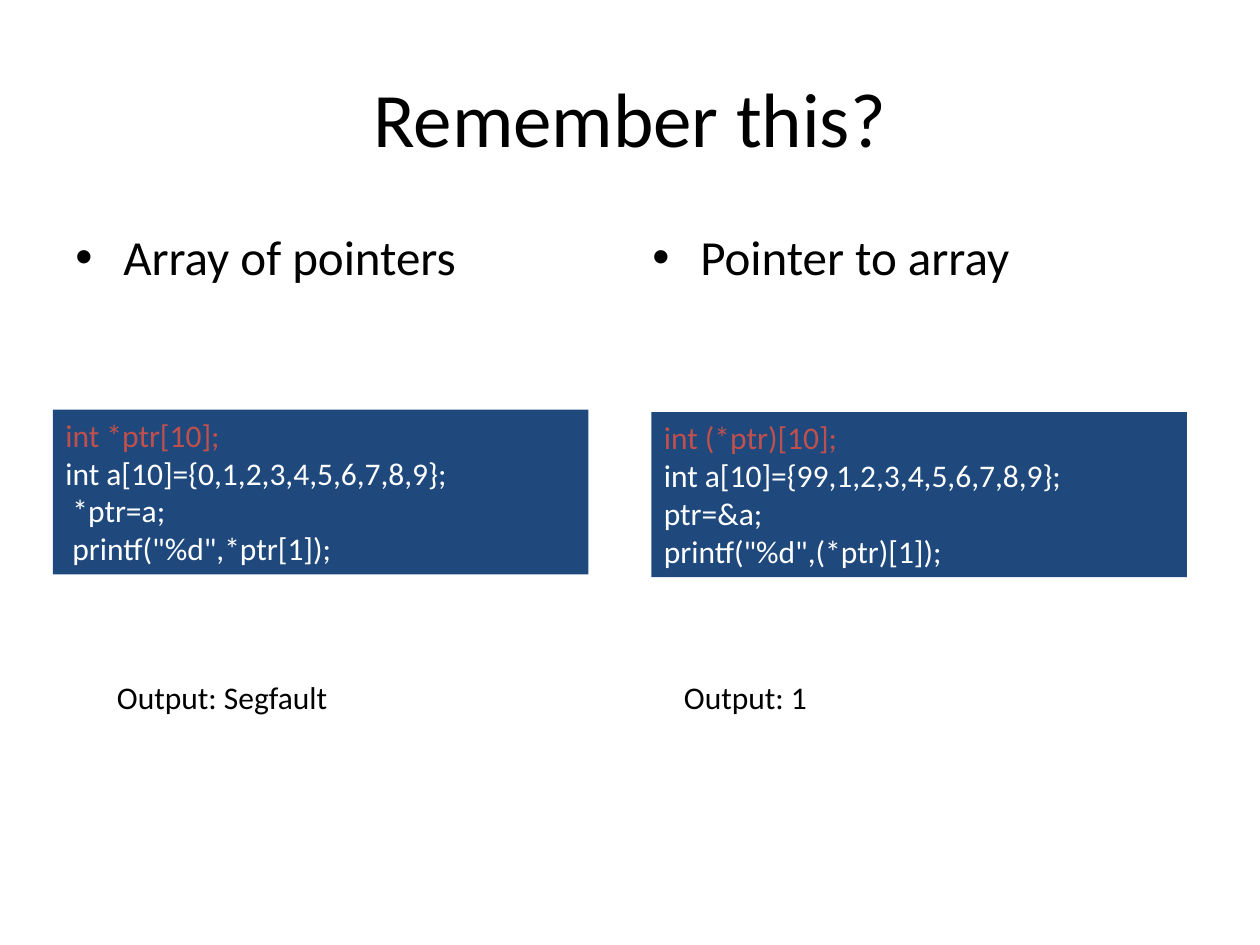
"""Build a slide comparing an array of pointers with a pointer to an array."""
import pptx
import pptx.dml.color
import pptx.enum.shapes
import pptx.enum.text
import pptx.oxml.ns
import pptx.util
from lxml import etree
from pptx.util import Inches

BLACK = pptx.dml.color.RGBColor(0x00, 0x00, 0x00)
WHITE = pptx.dml.color.RGBColor(0xFF, 0xFF, 0xFF)
NAVY = pptx.dml.color.RGBColor(0x1F, 0x49, 0x7D)
RED = pptx.dml.color.RGBColor(0xC0, 0x50, 0x4D)
LEFT = pptx.enum.text.PP_ALIGN.LEFT
CENTER = pptx.enum.text.PP_ALIGN.CENTER
TOP = pptx.enum.text.MSO_ANCHOR.TOP
MIDDLE = pptx.enum.text.MSO_ANCHOR.MIDDLE


def add_bullet(paragraph):
    properties = paragraph._p.get_or_add_pPr()
    properties.set("marL", str(Inches(0.38)))
    properties.set("indent", str(-Inches(0.38)))
    for tag, name, value in (("a:buFont", "typeface", "Arial"), ("a:buChar", "char", "•")):
        etree.SubElement(properties, pptx.oxml.ns.qn(tag)).set(name, value)


def write_text(shape, text, size=18, color=BLACK, first_color=None,
               align=LEFT, anchor=TOP, bullet=False):
    frame = shape.text_frame
    frame.word_wrap = True
    frame.vertical_anchor = anchor
    frame.text = text
    for index, paragraph in enumerate(frame.paragraphs):
        if bullet:
            add_bullet(paragraph)
        paragraph.alignment = align
        font = paragraph.runs[0].font
        font.name = "Calibri"
        font.size = pptx.util.Pt(size)
        font.color.rgb = first_color if first_color and index == 0 else color


def add_text(slide, text, left, top, width, height, **text_format):
    box = slide.shapes.add_textbox(Inches(left), Inches(top), Inches(width), Inches(height))
    write_text(box, text, **text_format)


def add_code(slide, code, left, top):
    panel = slide.shapes.add_shape(
        pptx.enum.shapes.MSO_SHAPE.RECTANGLE,
        Inches(left), Inches(top), Inches(4.25), Inches(1.31))
    panel.shadow.inherit = False
    panel.fill.solid()
    panel.fill.fore_color.rgb = NAVY
    panel.line.fill.background()
    write_text(panel, code, color=WHITE, first_color=RED)


def main():
    presentation = pptx.Presentation()
    presentation.slide_width = Inches(10)
    presentation.slide_height = Inches(7.5)
    slide = presentation.slides.add_slide(presentation.slide_layouts[6])

    add_text(slide, "Remember this?", 0.5, 0.3, 9, 1.25,
             size=44, align=CENTER, anchor=MIDDLE)
    for heading, left in (("Array of pointers", 0.5), ("Pointer to array", 5.08)):
        add_text(slide, heading, left, 1.75, 4.42, 4.95, size=28, bullet=True)

    add_code(slide, "\n".join((
        "int (*ptr)[10];",
        "int a[10]={99,1,2,3,4,5,6,7,8,9};",
        "ptr=&a;",
        'printf("%d",(*ptr)[1]);')), 5.17, 3.27)
    add_code(slide, "\n".join((
        "int *ptr[10];",
        "int a[10]={0,1,2,3,4,5,6,7,8,9};",
        " *ptr=a;",
        ' printf("%d",*ptr[1]);')), 0.42, 3.25)

    for output, left in (("Output: Segfault", 0.83), ("Output: 1", 5.33)):
        add_text(slide, output, left, 5.33, 3.25, 0.4)

    presentation.save("out.pptx")


if __name__ == "__main__":
    main()
